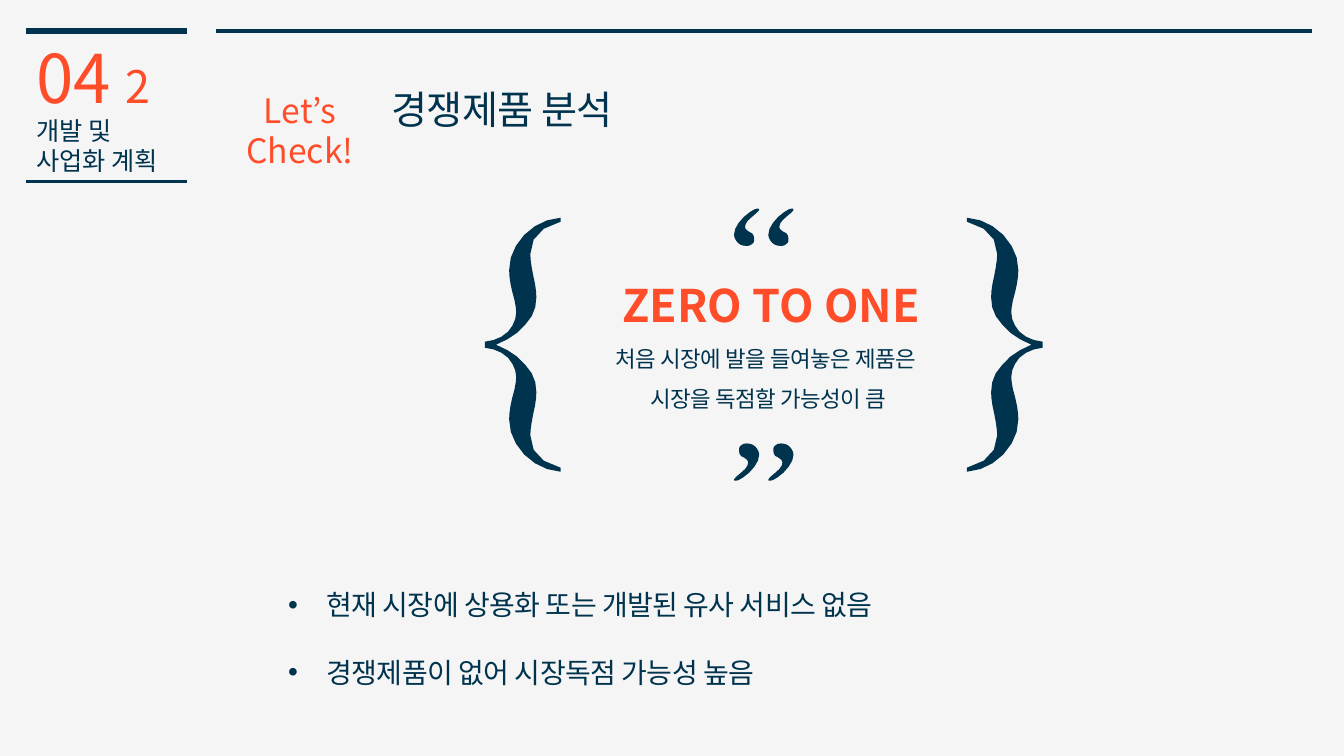
from lxml import etree
from pptx import Presentation
from pptx.dml.color import RGBColor
from pptx.enum.shapes import MSO_CONNECTOR
from pptx.enum.text import MSO_ANCHOR, MSO_AUTO_SIZE, PP_ALIGN
from pptx.oxml.ns import qn
from pptx.util import Inches, Pt

STRAIGHT = MSO_CONNECTOR.STRAIGHT
TOP, MIDDLE = MSO_ANCHOR.TOP, MSO_ANCHOR.MIDDLE
GROW, FIXED = MSO_AUTO_SIZE.SHAPE_TO_FIT_TEXT, MSO_AUTO_SIZE.NONE
LEFT, CENTER, JUSTIFY = PP_ALIGN.LEFT, PP_ALIGN.CENTER, PP_ALIGN.JUSTIFY

COLORS = {"paper": "F6F5F5", "navy": "00334E", "accent": "FF4C29"}
FONT = "Noto Sans CJK KR"
CELL = Inches(0.1)
CENTER_X, CENTER_Y = 75.75, 34.2
QUOTE_GAP = 3.4
CURVE_STEPS = 3

QUOTE = [
    (75.1, 20.7),
    (75.2, 20.7, 75.3, 20.7, 75.3, 20.8),
    (75.3, 20.9, 75.1, 21.1, 74.6, 21.5),
    (74.1, 21.9, 73.9, 22.2, 73.9, 22.5),
    (73.9, 22.7, 74, 22.8, 74.3, 23),
    (74.7, 23.1, 74.8, 23.4, 74.8, 23.7),
    (74.8, 23.9, 74.8, 24.1, 74.6, 24.2),
    (74.4, 24.4, 74.2, 24.4, 74, 24.4),
    (73.7, 24.4, 73.4, 24.3, 73.2, 24.1),
    (73, 23.9, 72.8, 23.6, 72.8, 23.3),
    (72.8, 22.7, 73.2, 22.1, 73.8, 21.5),
    (74.5, 20.9, 74.9, 20.7, 75.1, 20.7),
]
HALF_BRACE = [
    (48.1, 33.9),
    (49, 33.8, 49.8, 33.5, 50.4, 32.9),
    (50.9, 32.3, 51.2, 31.7, 51.2, 31),
    (51.2, 30.6, 51.1, 29.9, 50.8, 28.9),
    (50.6, 28.1, 50.5, 27.4, 50.5, 26.8),
    (50.5, 25.5, 51, 24.4, 52, 23.3),
    (53, 22.3, 54.2, 21.7, 55.6, 21.6),
    (55.6, 22),
    (53.6, 22.5, 52.6, 23.6, 52.6, 25.2),
    (52.6, 25.7, 52.7, 26.4, 52.9, 27.4),
    (53.1, 28.2, 53.2, 28.9, 53.2, 29.5),
    (53.2, 30.5, 52.9, 31.4, 52.1, 32.2),
    (51.4, 33.1, 50.4, 33.7, 49.2, 34.2),
]


def cells(*values):
    return [round(v * CELL) for v in values]


def rgb(name):
    return RGBColor.from_string(COLORS[name])


def flatten(segments):
    points = []
    for seg in segments:
        if len(seg) == 2:
            points.append(seg)
            continue
        ends = [points[-1], seg[:2], seg[2:4], seg[4:]]
        for i in range(1, CURVE_STEPS + 1):
            t = i / CURVE_STEPS
            weights = ((1 - t) ** 3, 3 * t * (1 - t) ** 2, 3 * t * t * (1 - t), t ** 3)
            points.append(tuple(sum(w * e[axis] for w, e in zip(weights, ends))
                                for axis in (0, 1)))
    return points


def mirror(points, flip_x, flip_y):
    return [(2 * CENTER_X - x if flip_x else x, 2 * CENTER_Y - y if flip_y else y)
            for x, y in points]


def add_outline(slide, points):
    emu = [cells(*point) for point in points]
    builder = slide.shapes.build_freeform(*emu[0])
    builder.add_line_segments(emu[1:], close=True)
    s = builder.convert_to_shape()
    s.shadow.inherit = False
    s.fill.solid()
    s.fill.fore_color.rgb = rgb("navy")
    s.line.fill.background()


def add_rule(slide, x1, x2, y, width):
    s = slide.shapes.add_connector(STRAIGHT, *cells(x1, y, x2, y))
    s.line.color.rgb = rgb("navy")
    s.line.width = Pt(width)
    etree.SubElement(s.element.spPr, qn("a:effectLst"))


def place(sp, box, anchor=TOP, auto_size=GROW):
    sp.left, sp.top, sp.width, sp.height = cells(*box)
    tf = sp.text_frame
    tf.word_wrap = True
    tf.auto_size = auto_size
    tf.vertical_anchor = anchor
    return tf


def add_text_frame(slide, box, anchor=TOP, auto_size=GROW):
    return place(slide.shapes.add_textbox(*cells(*box)), box, anchor, auto_size)


def format_run(r, size, color, bold=False, tracking=0):
    r.font.size = Pt(size)
    r.font.bold = bold
    r.font.color.rgb = rgb(color)
    r.font.name = FONT
    rPr = r.font._element
    etree.SubElement(rPr, qn("a:ea")).set("typeface", FONT)
    if tracking:
        rPr.set("spc", str(round(tracking * 100)))


def write(p, runs, align=LEFT, spacing=1, hang=0, bullet=False):
    pPr = p._p.get_or_add_pPr()
    if hang:
        pPr.set("marL", str(cells(hang)[0]))
        pPr.set("indent", str(cells(-hang)[0]))
    if bullet:
        etree.SubElement(pPr, qn("a:buFont")).set("typeface", "Arial")
        etree.SubElement(pPr, qn("a:buChar")).set("char", "•")
    p.alignment = align
    p.line_spacing = spacing
    for text, *style in runs:
        r = p.add_run()
        r.text = text
        format_run(r, *style)


def write_lines(tf, lines, style, **layout):
    tf.text = "\n".join(lines)
    for p in tf.paragraphs:
        write(p, [], **layout)
        format_run(p.runs[0], *style)


def add_section_label(slide):
    tf = add_text_frame(slide, (2.6, 3.1, 15.9, 9.1))
    write(tf.paragraphs[0], [("04 ", 48, "accent"), ("2", 32, "accent")])
    tf = add_text_frame(slide, (2.6, 10.9, 17.4, 7.1))
    write_lines(tf, ["개발 및", "사업화 계획"], (18, "navy"))
    add_rule(slide, 2.6, 18.5, 3.1, 4)
    add_rule(slide, 2.6, 18.5, 18, 2.5)
    add_rule(slide, 21.4, 130.1, 3.1, 2.5)


def add_quotation(slide):
    tf = add_text_frame(slide, (51.4, 22.9, 49.6, 22.6), MIDDLE, FIXED)
    write(tf.paragraphs[0], [(" ", 18, "navy", True), ("ZERO TO ONE", 32, "accent", True)],
          align=CENTER)
    for line in ("처음 시장에 발을 들여놓은 제품은 ", "시장을 독점할 가능성이 큼"):
        write(tf.add_paragraph(), [(line, 16, "navy", False, -0.3)],
              align=CENTER, spacing=1.5, hang=5.7)
    quote, half = flatten(QUOTE), flatten(HALF_BRACE)
    brace = half + mirror(half, False, True)[::-1]
    for turned in (False, True):
        add_outline(slide, mirror(brace, turned, False))
        for shift in (0, QUOTE_GAP):
            shifted = [(x + shift, y) for x, y in quote]
            add_outline(slide, mirror(shifted, turned, turned))


def main():
    prs = Presentation()
    prs.slide_width, prs.slide_height = Inches(13.33), Inches(7.5)
    slide = prs.slides.add_slide(prs.slide_layouts[5])
    slide.background.fill.solid()
    slide.background.fill.fore_color.rgb = rgb("paper")

    tf = place(slide.shapes.title, (37.8, 8, 48.2, 5.7))
    write_lines(tf, ["경쟁제품 분석"], (28, "navy", False, -0.4), align=JUSTIFY, hang=6.5)
    tf = add_text_frame(slide, (21.4, 8.4, 16.7, 5))
    write_lines(tf, ["Let’s Check!"], (24, "accent"), align=CENTER)
    add_section_label(slide)
    add_quotation(slide)
    tf = add_text_frame(slide, (27.6, 54.5, 83.3, 13.5))
    write_lines(tf, ["현재 시장에 상용화 또는 개발된 유사 서비스 없음", "경쟁제품이 없어 시장독점 가능성 높음"],
                (20, "navy", False, -0.4), align=JUSTIFY, spacing=2, hang=3.8, bullet=True)
    prs.save("out.pptx")


if __name__ == "__main__":
    main()
